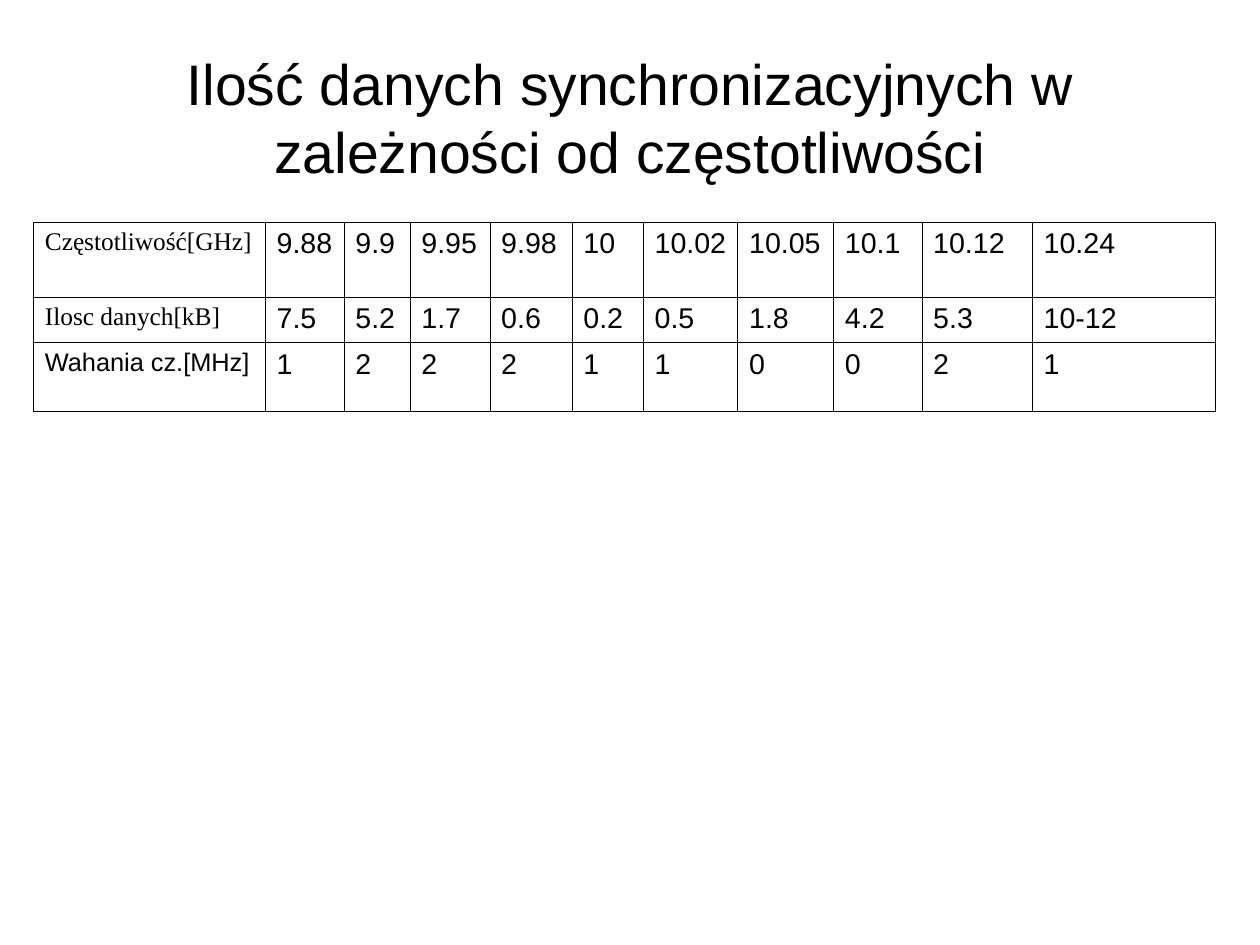
from lxml import etree
from pptx import Presentation
from pptx.dml import color
from pptx.enum import text
from pptx.oxml import ns
from pptx.util import Pt

SLIDE_SIZE = (793.7, 595.28)
TITLE = "Ilość danych synchronizacyjnych w zależności od częstotliwości"
ROWS = [
    ("Częstotliwość[GHz]", "Times New Roman", 47.3,
     ["9.88", "9.9", "9.95", "9.98", "10", "10.02", "10.05", "10.1", "10.12", "10.24"]),
    ("Ilosc danych[kB]", "Times New Roman", 28.8,
     ["7.5", "5.2", "1.7", "0.6", "0.2", "0.5", "1.8", "4.2", "5.3", "10-12"]),
    ("Wahania cz.[MHz]", "Arial", 42.9,
     ["1", "2", "2", "2", "1", "1", "0", "0", "2", "1"]),
]
COLUMN_WIDTHS = [146, 49.6, 41.6, 50.3, 51.8, 44.9, 59.5, 60.4, 55.6, 69.6, 115.4]
BLACK = "000000"
BORDER_WIDTH = 0.57


def rgb(value):
    return color.RGBColor.from_string(value)


def add_span(para, wording, size, face):
    span = para.add_run()
    span.text = wording
    span.font.size = Pt(size)
    span.font.name = face
    span.font.color.rgb = rgb(BLACK)


def add_borders(cell):
    properties = cell._tc.get_or_add_tcPr()
    for position, side in enumerate(("lnL", "lnR", "lnT", "lnB")):
        line = etree.Element(ns.qn("a:" + side), w=str(Pt(BORDER_WIDTH)))
        fill = etree.SubElement(line, ns.qn("a:solidFill"))
        etree.SubElement(fill, ns.qn("a:srgbClr"), val=BLACK)
        properties.insert(position, line)


def fill_cell(cell, wording, size, face):
    cell.margin_left = cell.margin_right = Pt(7.1)
    cell.margin_top = cell.margin_bottom = Pt(3.6)
    cell.fill.background()
    add_borders(cell)
    add_span(cell.text_frame.paragraphs[0], wording, size, face)


def add_title(page):
    title = page.shapes.title
    title.left, title.top, title.width, title.height = Pt(39.6), Pt(23.76), Pt(714.24), Pt(99.36)
    box = title.text_frame
    box.margin_left = box.margin_right = box.margin_top = box.margin_bottom = 0
    box.word_wrap = True
    box.auto_size = text.MSO_AUTO_SIZE.NONE
    box.vertical_anchor = text.MSO_ANCHOR.MIDDLE
    para = box.paragraphs[0]
    para.alignment = text.PP_ALIGN.CENTER
    add_span(para, TITLE, 36, "Arial")


def add_measurements(page):
    height = sum(row[2] for row in ROWS)
    frame = page.shapes.add_table(len(ROWS), len(COLUMN_WIDTHS), Pt(21.2), Pt(139.9),
                                  Pt(sum(COLUMN_WIDTHS)), Pt(height))
    table = frame.table
    table.first_row = table.horz_banding = False
    for column, width in zip(table.columns, COLUMN_WIDTHS):
        column.width = Pt(width)
    for row, (label, face, row_height, values) in zip(table.rows, ROWS):
        row.height = Pt(row_height)
        fill_cell(row.cells[0], label, 16, face)
        for index, value in enumerate(values, 1):
            fill_cell(row.cells[index], value, 18, "Arial")


def main():
    deck = Presentation()
    deck.slide_width, deck.slide_height = map(Pt, SLIDE_SIZE)
    page = deck.slides.add_slide(deck.slide_layouts[5])
    add_title(page)
    add_measurements(page)
    deck.save("out.pptx")


if __name__ == "__main__":
    main()
